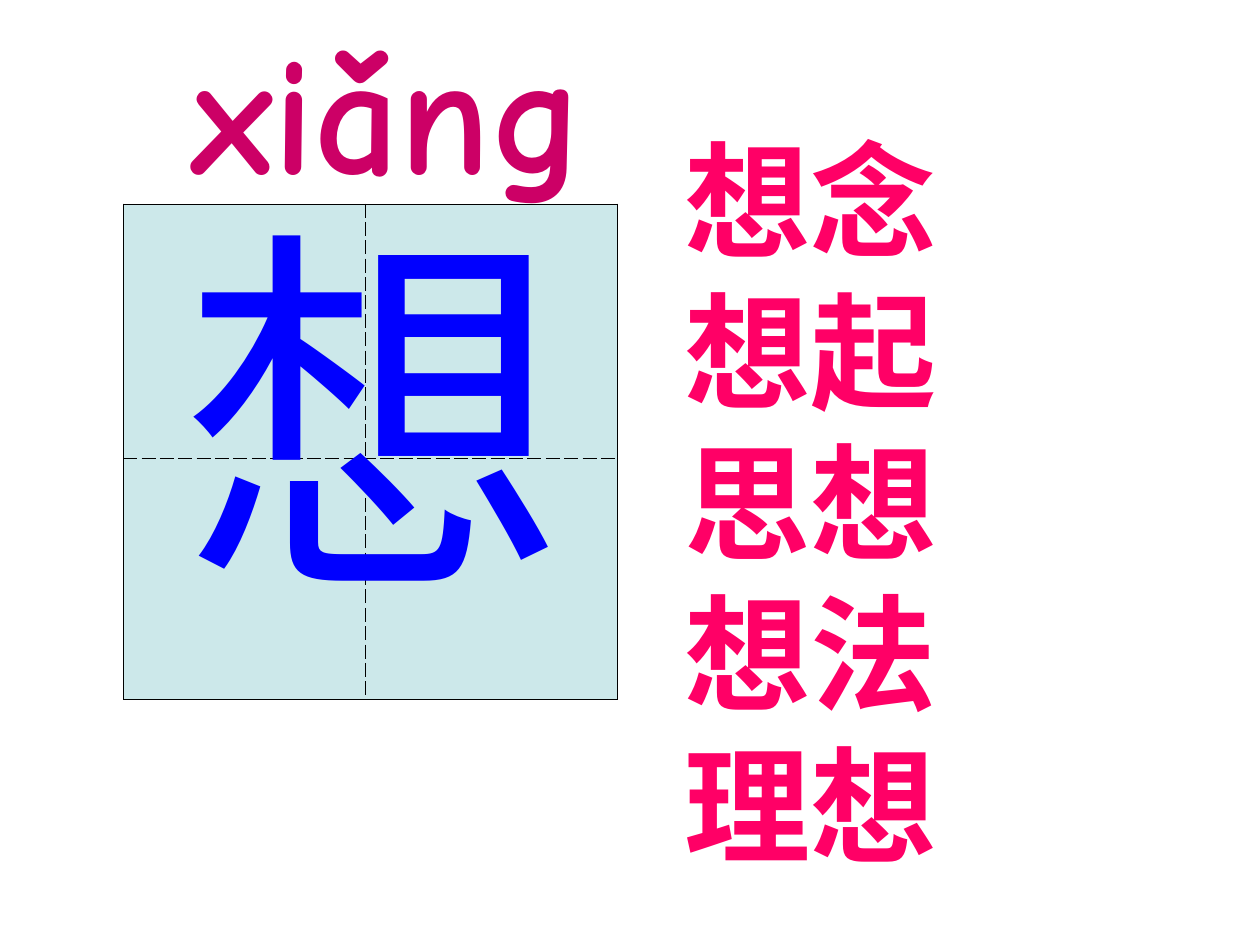
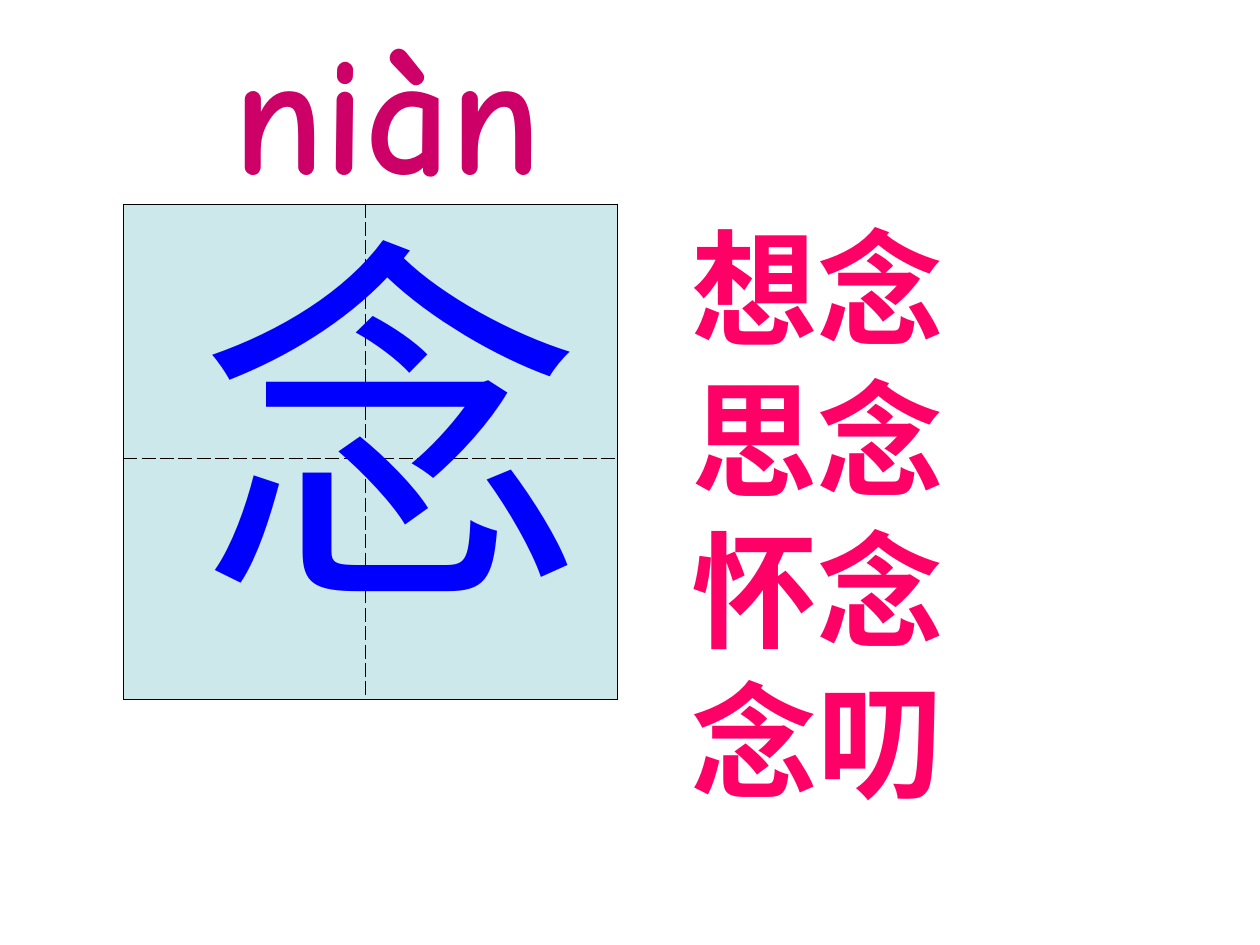
from dataclasses import dataclass

from lxml import etree
from pptx import Presentation
from pptx.dml.color import RGBColor
from pptx.enum import text as t
from pptx.oxml import ns
from pptx.util import Cm, Pt

# Shared colours and text formats
GRID_FILL = RGBColor(0xCC, 0xE8, 0xEA)
GRID_LINE = RGBColor(0x00, 0x00, 0x00)
PINYIN_COLOR = RGBColor(0xCC, 0x00, 0x66)
GLYPH_COLOR = RGBColor(0x00, 0x00, 0xFF)
WORDS_COLOR = RGBColor(0xFF, 0x00, 0x66)

PINYIN_FORMAT = {"name": "Comic Neue", "size": Pt(96), "bold": True}
GLYPH_FORMAT = {"name": "Arial", "size": Pt(220), "bold": False}
WORDS_FORMAT = {"name": "Arial", "size": Pt(72), "bold": True}

# Writing grid, in centimetres
GRID_LEFT, GRID_TOP = 2.49, 4.11
GRID_COLUMNS = (4.88, 5.08)
GRID_ROWS = (5.13, 4.85)
WORD_LINE = 3.05
BOX_PADDING = 0.25


@dataclass(frozen=True)
class Box:
    """Position and size in centimetres."""
    left: float
    top: float
    width: float
    height: float


@dataclass(frozen=True)
class Lesson:
    """One character with its reading and example words."""
    pinyin: str
    pinyin_left: float
    glyph: str
    glyph_at: tuple[float, float]
    words: tuple[str, ...]
    words_at: tuple[float, float]


LESSONS = (
    Lesson("xiǎng", 3.61, "想", (3.4, 3.38),
           ("想念", "想起", "思想", "想法", "理想"), (13.54, 2.34)),
    Lesson("niàn", 4.45, "念", (3.78, 3.61),
           ("想念", "思念", "怀念", "念叨"), (13.69, 4.11)),
)


def add_border(cell, side: str, dash: str, position: int) -> None:
    """Put one edge line ahead of the cell's fill."""
    line = etree.Element(ns.qn(f"a:ln{side}"), w=str(Pt(0.45)))
    fill = etree.SubElement(line, ns.qn("a:solidFill"))
    etree.SubElement(fill, ns.qn("a:srgbClr"), val=str(GRID_LINE))
    etree.SubElement(line, ns.qn("a:prstDash"), val=dash)
    cell._tc.get_or_add_tcPr().insert(position, line)


def add_writing_grid(slide) -> None:
    """Draw the square with a solid frame and dashed centre lines."""
    grid = slide.shapes.add_table(
        len(GRID_ROWS), len(GRID_COLUMNS), Cm(GRID_LEFT), Cm(GRID_TOP),
        Cm(sum(GRID_COLUMNS)), Cm(sum(GRID_ROWS))).table
    grid.first_row = grid.horz_banding = False
    for column, width in zip(grid.columns, GRID_COLUMNS):
        column.width = Cm(width)
    for row, height in zip(grid.rows, GRID_ROWS):
        row.height = Cm(height)

    for r in range(len(GRID_ROWS)):
        for c in range(len(GRID_COLUMNS)):
            cell = grid.cell(r, c)
            cell.fill.solid()
            cell.fill.fore_color.rgb = GRID_FILL
            outer = {"L": c == 0, "R": c == 1, "T": r == 0, "B": r == 1}
            for position, (side, on_frame) in enumerate(outer.items()):
                add_border(cell, side, "solid" if on_frame else "dash", position)


def add_text(slide, box: Box, lines: tuple[str, ...], font_format: dict,
             color: RGBColor, wrap: bool = True) -> None:
    """Add a text box with one paragraph for each line."""
    frame = slide.shapes.add_textbox(
        Cm(box.left), Cm(box.top), Cm(box.width), Cm(box.height)).text_frame
    frame.word_wrap = wrap
    frame.auto_size = t.MSO_AUTO_SIZE.SHAPE_TO_FIT_TEXT
    frame.text = "\n".join(lines)
    for paragraph in frame.paragraphs:
        font = paragraph.runs[0].font
        for attribute, value in font_format.items():
            setattr(font, attribute, value)
        font.color.rgb = color


def add_lesson(prs, lesson: Lesson) -> None:
    """Build the slide for one character."""
    slide = prs.slides.add_slide(prs.slide_layouts[6])
    add_writing_grid(slide)
    # Reading above the grid
    add_text(slide, Box(lesson.pinyin_left, 0, 9.53, 4.32), (lesson.pinyin,),
             PINYIN_FORMAT, PINYIN_COLOR)
    # Large character in the grid
    add_text(slide, Box(*lesson.glyph_at, 8.26, 9.58), (lesson.glyph,),
             GLYPH_FORMAT, GLYPH_COLOR, wrap=False)
    # Example words on the right
    words_height = len(lesson.words) * WORD_LINE + BOX_PADDING
    add_text(slide, Box(*lesson.words_at, 10.8, words_height), lesson.words,
             WORDS_FORMAT, WORDS_COLOR)


def main() -> None:
    prs = Presentation()
    prs.slide_width, prs.slide_height = Cm(25.4), Cm(19.05)
    for lesson in LESSONS:
        add_lesson(prs, lesson)
    prs.save("out.pptx")


if __name__ == "__main__":
    main()
